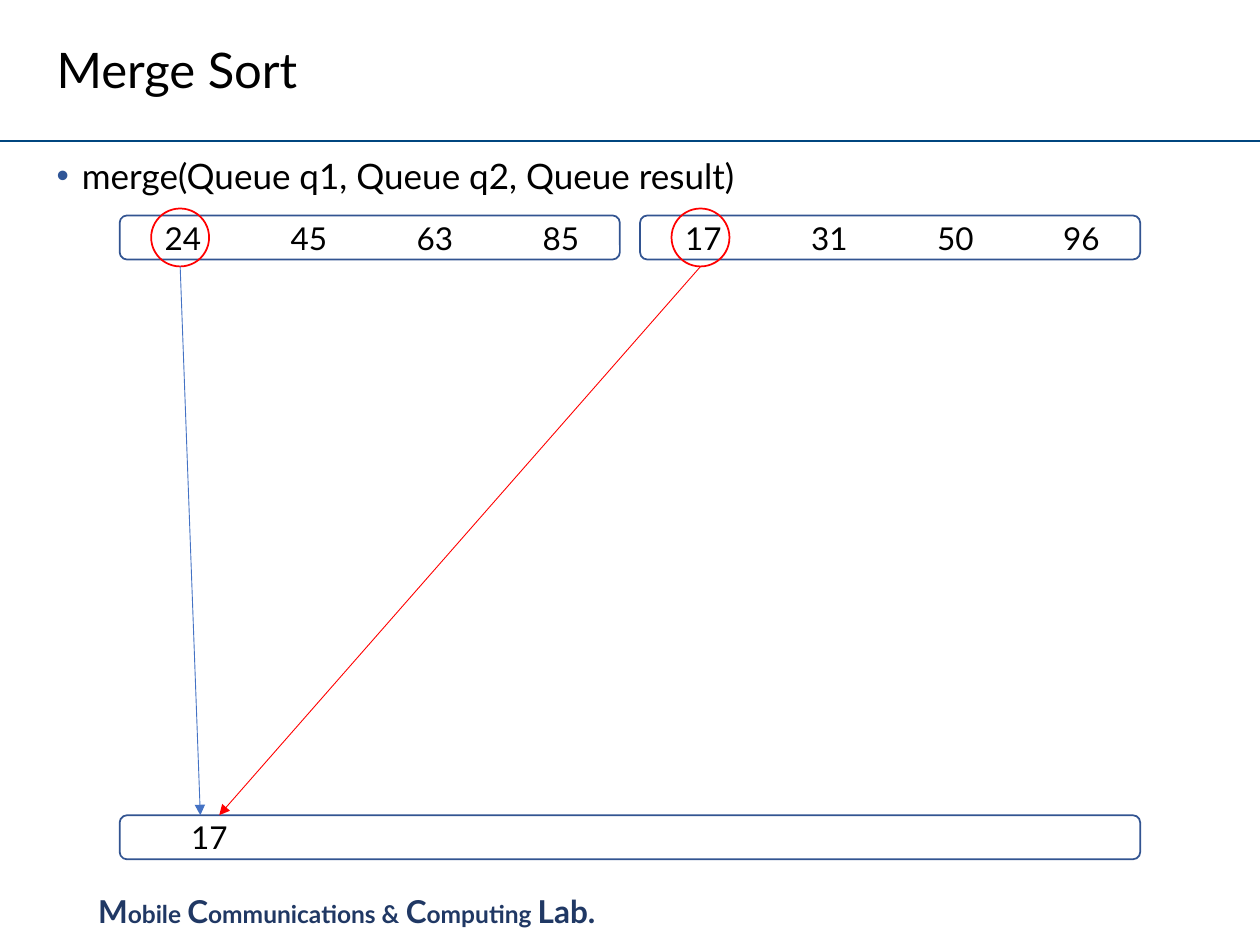
from dataclasses import dataclass

from lxml.etree import SubElement
from pptx import Presentation
from pptx.dml.color import RGBColor
from pptx.enum.shapes import MSO_CONNECTOR, MSO_SHAPE
from pptx.enum.text import MSO_ANCHOR, MSO_AUTO_SIZE, PP_ALIGN
from pptx.oxml.ns import qn
from pptx.util import Inches, Pt


@dataclass(frozen=True)
class Theme:
    font: str = "Lato"
    text: str = "000000"
    footer: str = "203864"
    bullet: str = "2F5597"
    rule: str = "00467F"
    queue: str = "325491"
    chosen: str = "FF0000"
    waiting: str = "4472C4"
    title_size: float = 28
    body_size: float = 20
    number_size: float = 18
    footer_large: float = 18
    footer_small: float = 14


THEME = Theme()

TITLE = "Merge Sort"
SIGNATURE = "merge(Queue q1, Queue q2, Queue result)"
FOOTER = [
    ("M", True), ("obile ", False), ("C", True), ("ommunications & ", False),
    ("C", True), ("omputing ", False), ("Lab.", True),
]
# Numbers, left edge, colour of the arrow, where the arrow ends
QUEUES = [
    (["24", "45", "63", "85"], 0.95, THEME.waiting, 1.59),
    (["17", "31", "50", "96"], 5.08, THEME.chosen, 1.74),
]
RESULT = ["17"]

QUEUE_TOP, QUEUE_WIDTH, QUEUE_HEIGHT = 1.71, 3.97, 0.35
RESULT_LEFT, RESULT_TOP, RESULT_WIDTH = 0.95, 6.47, 8.1
NUMBER_INDENT, RESULT_INDENT, NUMBER_STEP = 0.34, 0.55, 1
CIRCLE_SIZE, CIRCLE_OFFSET = 0.46, 0.25


def color(value):
    return RGBColor.from_string(value)


def style_run(run, size, value=THEME.text, bold=False):
    run.font.name = THEME.font
    run.font.size = Pt(size)
    run.font.bold = bold
    run.font.color.rgb = color(value)


def place(shape, left, top, width, height):
    shape.left, shape.top = Inches(left), Inches(top)
    shape.width, shape.height = Inches(width), Inches(height)


def fill_placeholder(shape, text, size, anchor):
    frame = shape.text_frame
    frame.text = text
    frame.auto_size = MSO_AUTO_SIZE.NONE
    frame.vertical_anchor = anchor
    paragraph = frame.paragraphs[0]
    paragraph.alignment = PP_ALIGN.LEFT
    paragraph.line_spacing = 0.9
    style_run(paragraph.runs[0], size)
    return paragraph


def add_bullet(paragraph):
    properties = paragraph._p.get_or_add_pPr()
    properties.set("marL", str(Inches(0.2)))
    properties.set("indent", str(-Inches(0.2)))
    bullet_color = SubElement(properties, qn("a:buClr"))
    SubElement(bullet_color, qn("a:srgbClr"), val=THEME.bullet)
    SubElement(properties, qn("a:buFont"), typeface="Arial")
    SubElement(properties, qn("a:buChar"), char="•")


def add_outline(slide, kind, left, top, width, height, line_color):
    shape = slide.shapes.add_shape(
        kind, Inches(left), Inches(top), Inches(width), Inches(height))
    shape.shadow.inherit = False
    shape.fill.background()
    shape.line.color.rgb = color(line_color)
    shape.line.width = Pt(1)
    return shape


def add_queue(slide, numbers, left, top, width, indent):
    """Draw a queue whose numbers stand on evenly spaced tab stops."""
    queue = add_outline(slide, MSO_SHAPE.ROUNDED_RECTANGLE,
                        left, top, width, QUEUE_HEIGHT, THEME.queue)
    frame = queue.text_frame
    frame.margin_left = Inches(indent)
    frame.margin_top = frame.margin_bottom = 0
    frame.vertical_anchor = MSO_ANCHOR.MIDDLE
    frame.text = "\t".join(numbers)
    paragraph = frame.paragraphs[0]
    paragraph.alignment = PP_ALIGN.LEFT
    if len(numbers) > 1:
        tabs = SubElement(paragraph._p.get_or_add_pPr(), qn("a:tabLst"))
        for index in range(1, len(numbers)):
            SubElement(tabs, qn("a:tab"), pos=str(Inches(index * NUMBER_STEP)), algn="l")
    style_run(paragraph.runs[0], THEME.number_size)


def add_line(slide, start, end, line_color, width, arrow=False):
    line = slide.shapes.add_connector(
        MSO_CONNECTOR.STRAIGHT, *map(Inches, start + end))
    line.line.color.rgb = color(line_color)
    line.line.width = Pt(width)
    if arrow:
        SubElement(line.line._get_or_add_ln(), qn("a:tailEnd"), type="triangle")
    SubElement(line._element.spPr, qn("a:effectLst"))


def add_footer(slide):
    box = slide.shapes.add_textbox(Inches(0.68), Inches(7.03), Inches(4.53), Inches(0.4))
    frame = box.text_frame
    frame.word_wrap = True
    frame.auto_size = MSO_AUTO_SIZE.SHAPE_TO_FIT_TEXT
    for text, large in FOOTER:
        run = frame.paragraphs[0].add_run()
        run.text = text
        size = THEME.footer_large if large else THEME.footer_small
        style_run(run, size, THEME.footer, bold=True)


def main():
    presentation = Presentation()
    presentation.slide_width, presentation.slide_height = Inches(10), Inches(7.5)
    slide = presentation.slides.add_slide(presentation.slide_layouts[1])

    title, body = slide.shapes.title, slide.placeholders[1]
    place(title, 0.35, 0.14, 9.31, 0.88)
    fill_placeholder(title, TITLE, THEME.title_size, MSO_ANCHOR.MIDDLE)
    place(body, 0.35, 1.21, 9.31, 5.44)
    signature = fill_placeholder(body, SIGNATURE, THEME.body_size, MSO_ANCHOR.TOP)
    signature.space_before = Pt(7.5)
    add_bullet(signature)

    add_line(slide, (0, 1.12), (10, 1.12), THEME.rule, 1.5)
    add_footer(slide)

    add_queue(slide, RESULT, RESULT_LEFT, RESULT_TOP, RESULT_WIDTH, RESULT_INDENT)
    circle_top = QUEUE_TOP + (QUEUE_HEIGHT - CIRCLE_SIZE) / 2
    for numbers, left, arrow_color, arrow_end in QUEUES:
        add_queue(slide, numbers, left, QUEUE_TOP, QUEUE_WIDTH, NUMBER_INDENT)
        circle_left = left + CIRCLE_OFFSET
        add_outline(slide, MSO_SHAPE.OVAL, circle_left, circle_top,
                    CIRCLE_SIZE, CIRCLE_SIZE, THEME.chosen)
        circle_bottom = (circle_left + CIRCLE_SIZE / 2, circle_top + CIRCLE_SIZE)
        add_line(slide, circle_bottom, (arrow_end, RESULT_TOP), arrow_color, 0.5, arrow=True)

    presentation.save("out.pptx")


if __name__ == "__main__":
    main()
